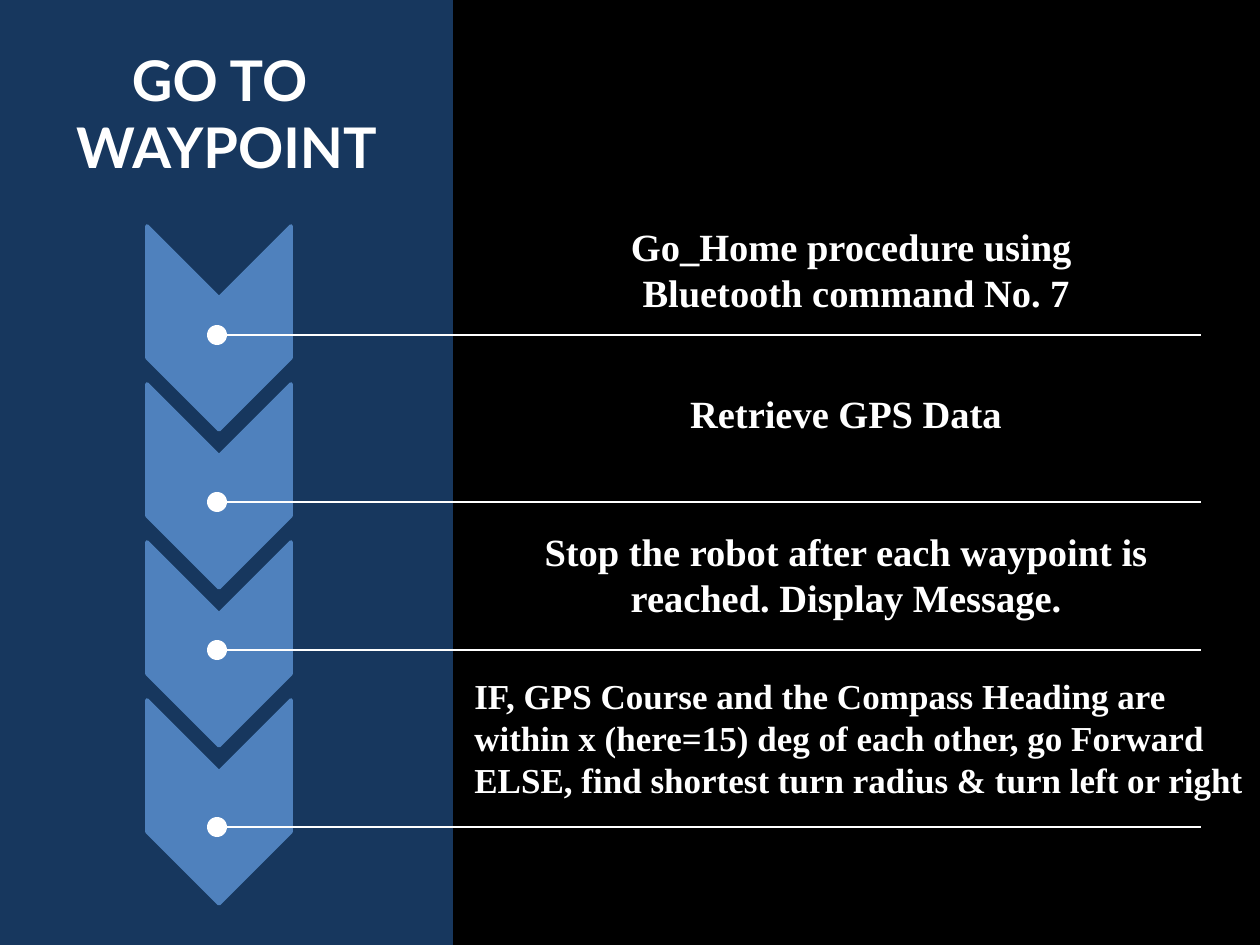
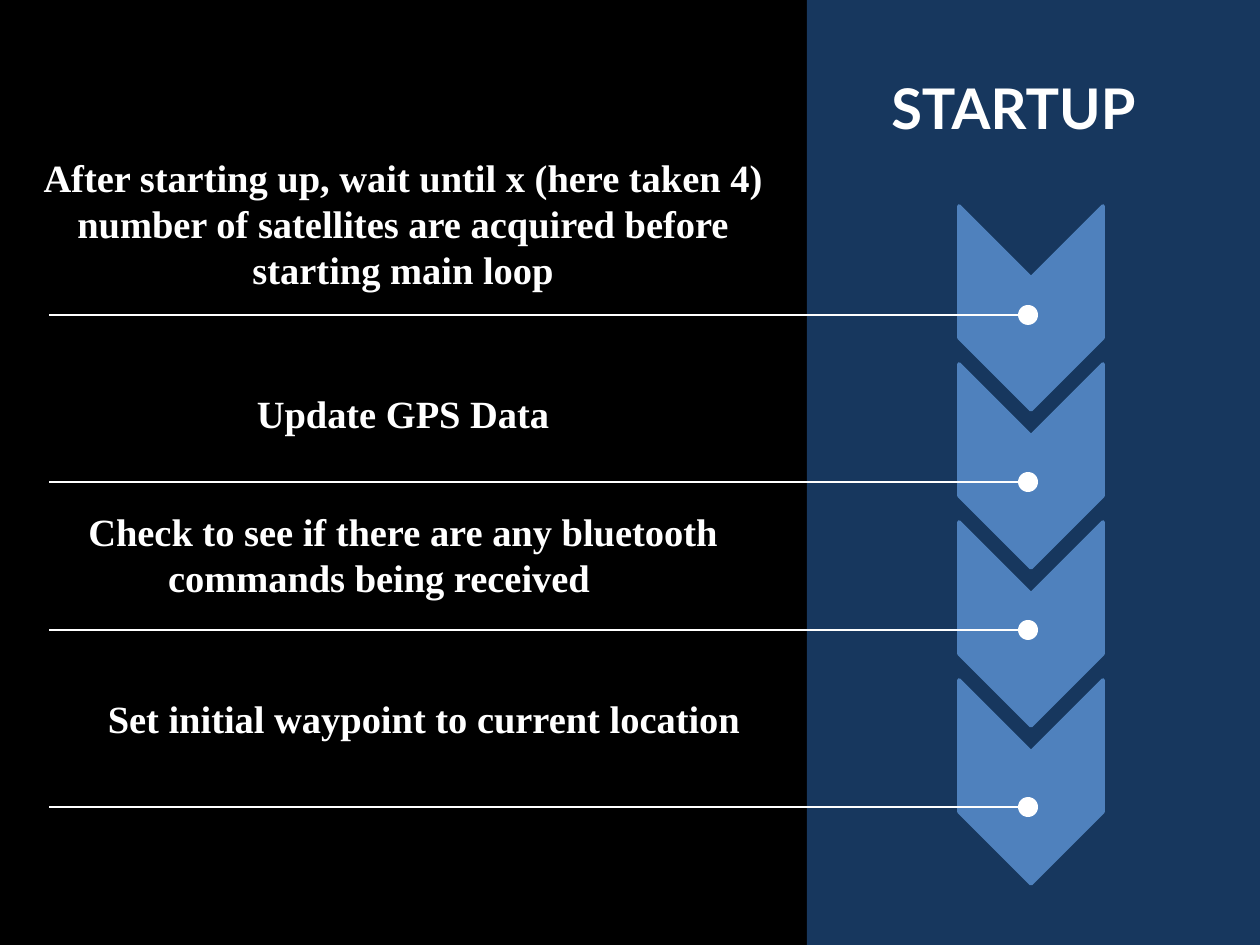
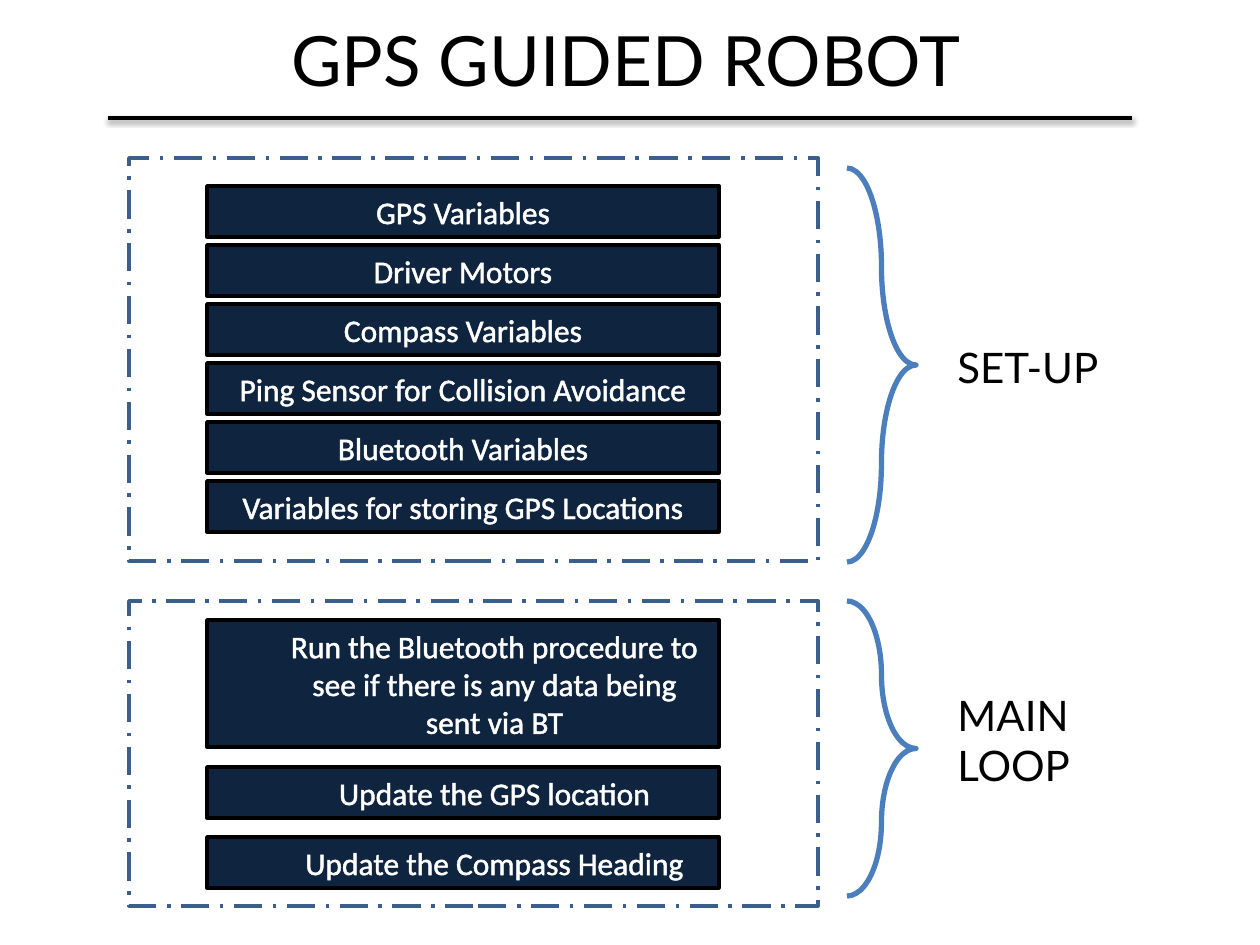
from lxml import etree
from pptx import Presentation
from pptx.dml.color import RGBColor
from pptx.enum.dml import MSO_LINE
from pptx.enum.shapes import MSO_CONNECTOR, MSO_SHAPE
from pptx.enum.text import MSO_ANCHOR, PP_ALIGN
from pptx.oxml.ns import qn
from pptx.util import Emu, Pt

RECT, OVAL = MSO_SHAPE.RECTANGLE, MSO_SHAPE.OVAL
CHEVRON, BRACE = MSO_SHAPE.CHEVRON, MSO_SHAPE.RIGHT_BRACE
STRAIGHT = MSO_CONNECTOR.STRAIGHT
DASH_DOT = MSO_LINE.LONG_DASH_DOT
LEFT, CENTER = PP_ALIGN.LEFT, PP_ALIGN.CENTER
TOP, MIDDLE = MSO_ANCHOR.TOP, MSO_ANCHOR.MIDDLE

COLORS = {
    "black": "000000",
    "white": "FFFFFF",
    "band": "17375E",
    "chevron": "4F81BD",
    "box": "0F243E",
    "frame": "3A5F8C",
    "brace": "4B7EBC",
}
HEADING, BODY, BOX = "Lato", "Times New Roman", "Calibri"
WIDTH, HEIGHT = 1260, 945
BAND_W = 453
STEP_YS = (335, 502, 650, 827)
CHEVRON_W, CHEVRON_H, CHEVRON_PITCH = 204, 144, 158
DOT = 20


def px(n):
    return Emu(round(n * 914400 / 126))


def rgb(name):
    return RGBColor.from_string(COLORS[name])


def add_slide(prs, background):
    slide = prs.slides.add_slide(prs.slide_layouts[6])
    slide.background.fill.solid()
    slide.background.fill.fore_color.rgb = rgb(background)
    return slide


def shape(slide, kind, box, fill=None, line=None, weight=2, dash=None):
    sp = slide.shapes.add_shape(kind, *map(px, box))
    sp.shadow.inherit = False
    if fill:
        sp.fill.solid()
        sp.fill.fore_color.rgb = rgb(fill)
    else:
        sp.fill.background()
    if line:
        sp.line.color.rgb = rgb(line)
        sp.line.width = Pt(weight)
        if dash:
            sp.line.dash_style = dash
    else:
        sp.line.fill.background()
    return sp


def rule(slide, x1, x2, y, color, weight, shadow=False):
    """Draw a horizontal line, optionally with a soft shadow below it."""
    cxn = slide.shapes.add_connector(STRAIGHT, px(x1), px(y), px(x2), px(y))
    cxn.line.color.rgb = rgb(color)
    cxn.line.width = Pt(weight)
    effects = etree.SubElement(cxn._element.spPr, qn("a:effectLst"))
    if shadow:
        outer = etree.SubElement(effects, qn("a:outerShdw"), blurRad=str(Pt(3.1)),
                                 dist=str(Pt(1.6)), dir="5400000", rotWithShape="0")
        clr = etree.SubElement(outer, qn("a:srgbClr"), val=COLORS["black"])
        etree.SubElement(clr, qn("a:alpha"), val="38000")


def outline(r, color):
    """Stroke the letters of a run."""
    ln = etree.Element(qn("a:ln"), w=str(Pt(1.45)))
    fill = etree.SubElement(ln, qn("a:solidFill"))
    etree.SubElement(fill, qn("a:srgbClr"), val=COLORS[color])
    r.font._element.insert(0, ln)


def write(sp, text, size=22, font=BODY, color="white", bold=False, align=CENTER,
          anchor=TOP, stroke=None, margins=None):
    """Fill sp with one paragraph a line; margins maps a paragraph to its indents."""
    tf = sp.text_frame
    tf.word_wrap = True
    tf.vertical_anchor = anchor
    for i, line in enumerate(text.split("\n")):
        p = tf.add_paragraph() if i else tf.paragraphs[0]
        p.alignment = align
        for side, length in (margins or {}).get(i, {}).items():
            p._p.get_or_add_pPr().set(side, str(px(length)))
        r = p.add_run()
        r.text = line
        r.font.size = Pt(size)
        r.font.name = font
        r.font.bold = bold
        r.font.color.rgb = rgb(color)
        if stroke:
            outline(r, stroke)


def label(slide, box, text, **fmt):
    write(slide.shapes.add_textbox(*map(px, box)), text, **fmt)


def chevron_slide(prs, band_x, chevron_x, dot_x, rule_x, rise, title_box, title, steps):
    """Build a side band of four chevrons; rise lifts the whole column."""
    slide = add_slide(prs, "black")
    shape(slide, RECT, (band_x, 0, BAND_W, HEIGHT), fill="band")
    for i in range(len(STEP_YS)):
        y = 328 - rise + i * CHEVRON_PITCH
        box = (chevron_x - CHEVRON_W // 2, y - CHEVRON_H // 2, CHEVRON_W, CHEVRON_H)
        shape(slide, CHEVRON, box, fill="chevron", line="chevron").rotation = 90
    label(slide, title_box, title, size=32, font=HEADING, bold=True)
    for y in STEP_YS:
        y -= rise
        shape(slide, OVAL, (dot_x - DOT // 2, y - DOT // 2, DOT, DOT), fill="white")
        rule(slide, dot_x, rule_x, y, "white", 0.75)
    for box, text, fmt in steps:
        label(slide, box, text, bold=True, **fmt)


def group(slide, frame, brace, name_box, name):
    """Draw a dashed frame, its brace and the name of the group."""
    shape(slide, RECT, frame, line="frame", dash=DASH_DOT)
    sp = shape(slide, BRACE, brace, line="brace", weight=3)
    sp.adjustments[0] = 1.5
    label(slide, name_box, name, size=24, font=HEADING, color="black", align=LEFT)


def task(slide, y, h, text, indent=0):
    sp = shape(slide, RECT, (207, y, 512, h), fill="box", line="black")
    write(sp, text, size=18, font=BOX, anchor=MIDDLE, stroke="white",
          margins={0: {"marL": indent}})


def robot_slide(prs):
    slide = add_slide(prs, "white")
    variables = ("GPS Variables", "Driver Motors", "Compass Variables",
                 "Ping Sensor for Collision Avoidance", "Bluetooth Variables",
                 "Variables for storing GPS Locations")
    for i, text in enumerate(variables):
        task(slide, 186 + 59 * i, 51, text)
    group(slide, (129, 158, 689, 403), (847, 168, 69, 394), (945, 335, 227, 63), "SET-UP")

    loop = ((620, 127, "Run the Bluetooth procedure to see if there is any data being sent via BT"),
            (767, 51, "Update the GPS location"),
            (837, 51, "Update the Compass Heading"))
    for y, h, text in loop:
        task(slide, y, h, text, indent=63)
    group(slide, (129, 601, 689, 305), (847, 601, 69, 295), (945, 683, 227, 115), "MAIN\nLOOP")

    rule(slide, 108, 1132, 118, "black", 2, shadow=True)
    label(slide, (59, 29, 1134, 59), "GPS GUIDED ROBOT", size=39.6, font=HEADING,
          color="black", anchor=MIDDLE)


def main():
    prs = Presentation()
    prs.slide_width, prs.slide_height = px(WIDTH), px(HEIGHT)
    chevron_slide(
        prs, band_x=0, chevron_x=219, dot_x=217, rule_x=1201, rise=0,
        title_box=(0, 39, BAND_W, 149), title="GO TO \nWAYPOINT",
        steps=(
            ((413, 217, 886, 106), "Go_Home procedure using \nBluetooth command No. 7", {}),
            ((472, 384, 748, 59), "Retrieve GPS Data", {}),
            ((472, 522, 748, 152),
             "Stop the robot after each waypoint is reached. Display Message.", {}),
            ((462, 668, 808, 140),
             "IF, GPS Course and the Compass Heading are within x (here=15) deg of each other, "
             "go Forward\nELSE, find shortest turn radius & turn left or right",
             {"size": 20, "align": LEFT}),
        ))
    chevron_slide(
        prs, band_x=WIDTH - BAND_W, chevron_x=1031, dot_x=1028, rule_x=49, rise=20,
        title_box=(787, 67, BAND_W, 81), title="STARTUP",
        steps=(
            ((29, 148, 748, 152),
             "After starting up, wait until x (here taken 4) number of satellites are "
             "acquired before starting main loop", {}),
            ((29, 384, 748, 59), "Update GPS Data", {}),
            ((29, 502, 748, 152),
             "Check to see if there are any bluetooth\ncommands being received",
             {"margins": {1: {"marR": 48}}}),
            ((20, 689, 808, 59), "Set initial waypoint to current location", {}),
        ))
    robot_slide(prs)
    prs.save("out.pptx")


if __name__ == "__main__":
    main()
